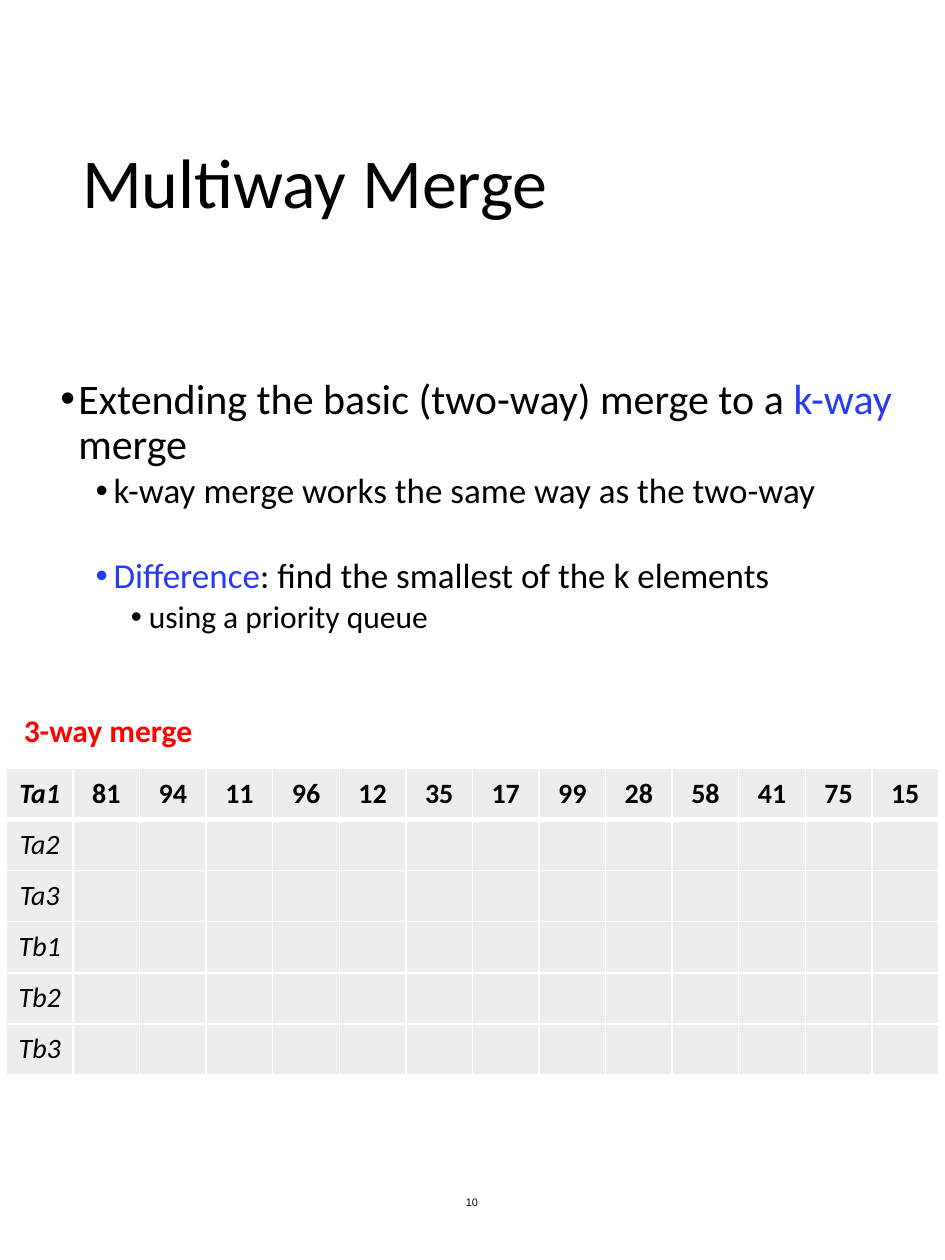
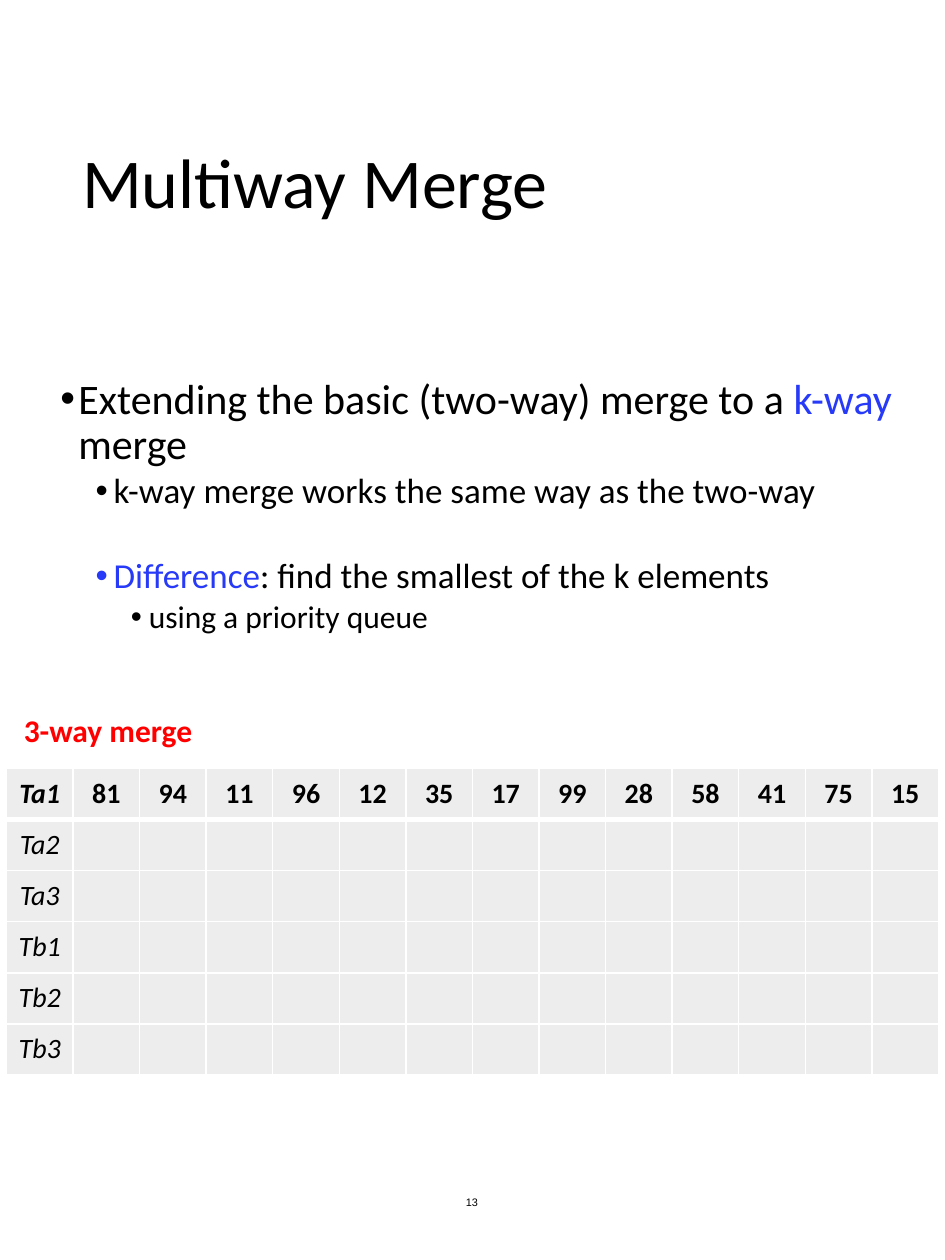
from lxml import etree
from pptx import Presentation
from pptx import util as u
from pptx.dml.color import RGBColor
from pptx.enum import text
from pptx.oxml.ns import qn

COLORS = {"text": "000000", "accent": "263AF8", "label": "FF0000",
          "cell": "EDEDED", "border": "FFFFFF"}
PAGE_NUMBERS = [10, 13]
BULLETS = [
    (0, 24, 0, [("Extending the basic (two-way) merge to a ", "text"),
                ("k-way ", "accent"), ("merge", "text")]),
    (1, 20, 2.8, [("k-way merge works the same way as the two-way", "text")]),
    (1, 20, 27, [("Difference", "accent"),
                 (": find the smallest of the k elements", "text")]),
    (2, 18, 2.8, [("using a priority queue", "text")]),
]
TAPES = [
    ["Ta1", 81, 94, 11, 96, 12, 35, 17, 99, 28, 58, 41, 75, 15],
    ["Ta2"], ["Ta3"], ["Tb1"], ["Tb2"], ["Tb3"],
]
COLUMN_COUNT = len(TAPES[0])
TABLE_WIDTH, ROW_HEIGHT = 18.8, 1.03


def write(paragraph, content, size, color="text", font="Calibri",
          bold=False, italic=False, align=text.PP_ALIGN.LEFT):
    paragraph.alignment = align
    run = paragraph.add_run()
    run.text = content
    run.font.name = font
    run.font.size = u.Pt(size)
    run.font.bold = bold
    run.font.italic = italic
    run.font.color.rgb = RGBColor.from_string(COLORS[color])


def add_border(cell, side, width):
    line = etree.SubElement(cell._tc.get_or_add_tcPr(), qn(f"a:ln{side}"),
                            w=str(u.Pt(width)))
    fill = etree.SubElement(line, qn("a:solidFill"))
    etree.SubElement(fill, qn("a:srgbClr"), val=COLORS["border"])


presentation = Presentation()
presentation.slide_width = u.Cm(19.05)
presentation.slide_height = u.Cm(25.4)

for page_number in PAGE_NUMBERS:
    slide = presentation.slides.add_slide(presentation.slide_layouts[5])

    title = slide.shapes.title
    title.left, title.top = u.Cm(1.4), u.Cm(1.3)
    title.width, title.height = u.Cm(16.43), u.Cm(4.9)
    title.text_frame.auto_size = text.MSO_AUTO_SIZE.NONE
    title.text_frame.vertical_anchor = text.MSO_ANCHOR.MIDDLE
    title.text_frame.paragraphs[0].line_spacing = 0.9
    write(title.text_frame.paragraphs[0], "Multiway Merge", 40)

    body = slide.shapes.add_textbox(u.Cm(0.97), u.Cm(7.49), u.Cm(17.58), u.Cm(10.82))
    body.text_frame.word_wrap = True
    for index, (level, size, space_before, runs) in enumerate(BULLETS):
        paragraph = body.text_frame.paragraphs[0] if index == 0 else body.text_frame.add_paragraph()
        properties = paragraph._p.get_or_add_pPr()
        properties.set("marL", str(u.Cm(0.36 + 0.71 * level)))
        properties.set("indent", str(u.Cm(-0.36)))
        etree.SubElement(properties, qn("a:buFont"), typeface="Arial")
        etree.SubElement(properties, qn("a:buChar"), char="•")
        paragraph.level = level
        paragraph.line_spacing = 0.9
        paragraph.space_before = u.Pt(space_before)
        for content, color in runs:
            write(paragraph, content, size, color=color)

    footer = slide.shapes.add_textbox(u.Cm(6.3), u.Cm(23.55), u.Cm(6.43), u.Cm(1.35))
    footer.text_frame.word_wrap = True
    footer.text_frame.vertical_anchor = text.MSO_ANCHOR.MIDDLE
    write(footer.text_frame.paragraphs[0], str(page_number), 6.2, font="Arial",
          align=text.PP_ALIGN.CENTER)

    table = slide.shapes.add_table(
        len(TAPES), COLUMN_COUNT, u.Cm(0.13), u.Cm(15.49),
        u.Cm(TABLE_WIDTH), u.Cm(ROW_HEIGHT * len(TAPES))).table
    table.first_row = False
    table.horz_banding = False
    for column in table.columns:
        column.width = u.Cm(TABLE_WIDTH / COLUMN_COUNT)
    for row_index, tape in enumerate(TAPES):
        table.rows[row_index].height = u.Cm(ROW_HEIGHT)
        for column_index in range(COLUMN_COUNT):
            cell = table.cell(row_index, column_index)
            cell.margin_left = cell.margin_right = 0
            cell.margin_top = cell.margin_bottom = 0
            cell.vertical_anchor = text.MSO_ANCHOR.MIDDLE
            add_border(cell, "L", 1)
            add_border(cell, "R", 1)
            add_border(cell, "T", 3 if row_index == 1 else 1)
            add_border(cell, "B", 3 if row_index == 0 else 1)
            cell.fill.solid()
            cell.fill.fore_color.rgb = RGBColor.from_string(COLORS["cell"])
            if column_index < len(tape):
                write(cell.text_frame.paragraphs[0], str(tape[column_index]), 16,
                      bold=row_index == 0, italic=column_index == 0,
                      align=text.PP_ALIGN.CENTER)

    label = slide.shapes.add_textbox(u.Cm(0.23), u.Cm(14.2), u.Cm(4.78), u.Cm(1.02))
    label.text_frame.word_wrap = True
    write(label.text_frame.paragraphs[0], "3-way merge", 18, color="label", bold=True)

presentation.save("out.pptx")
